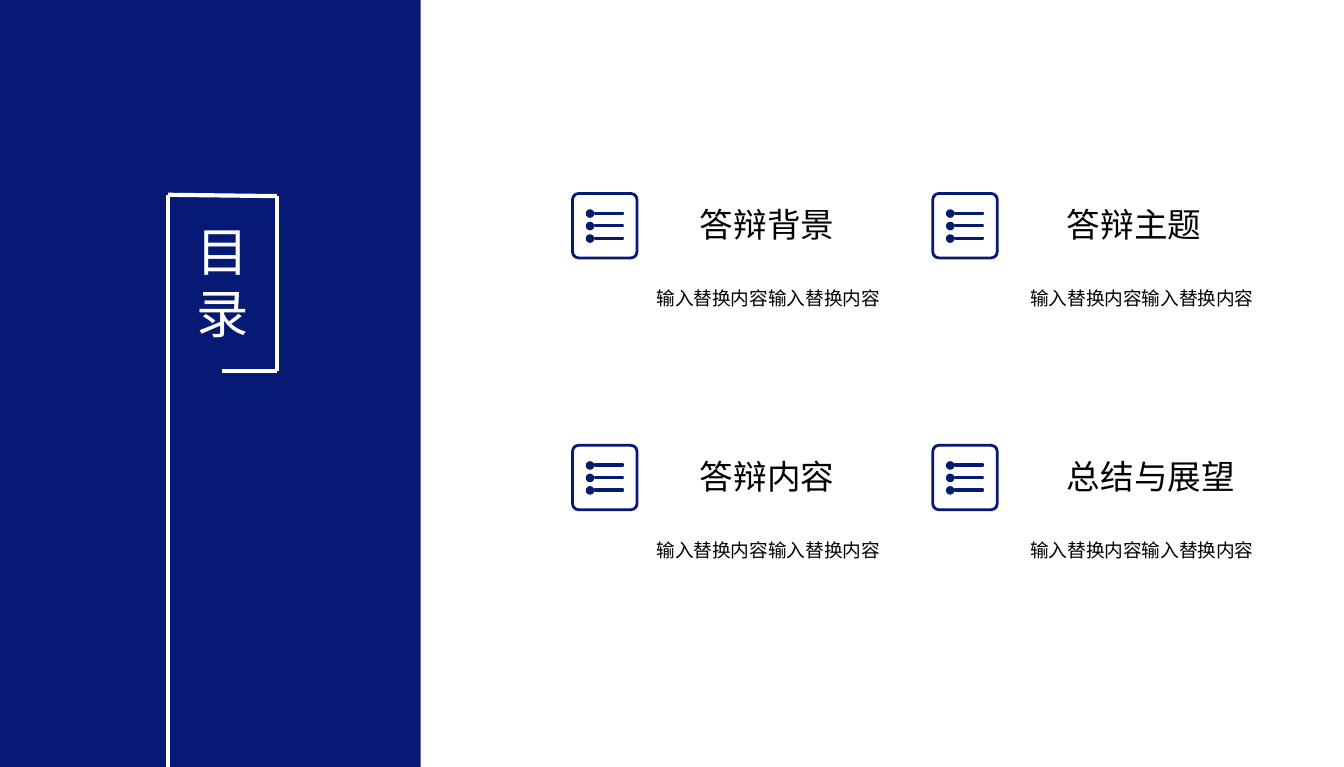
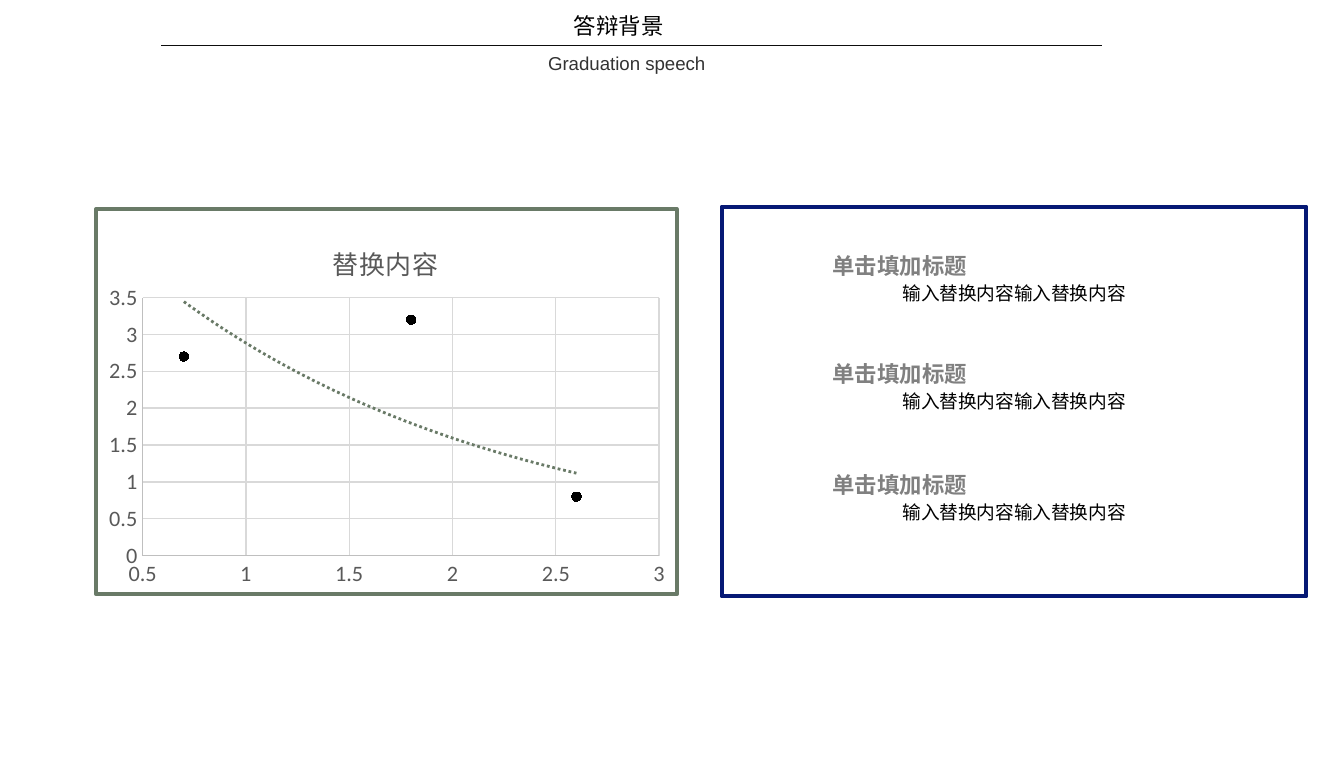
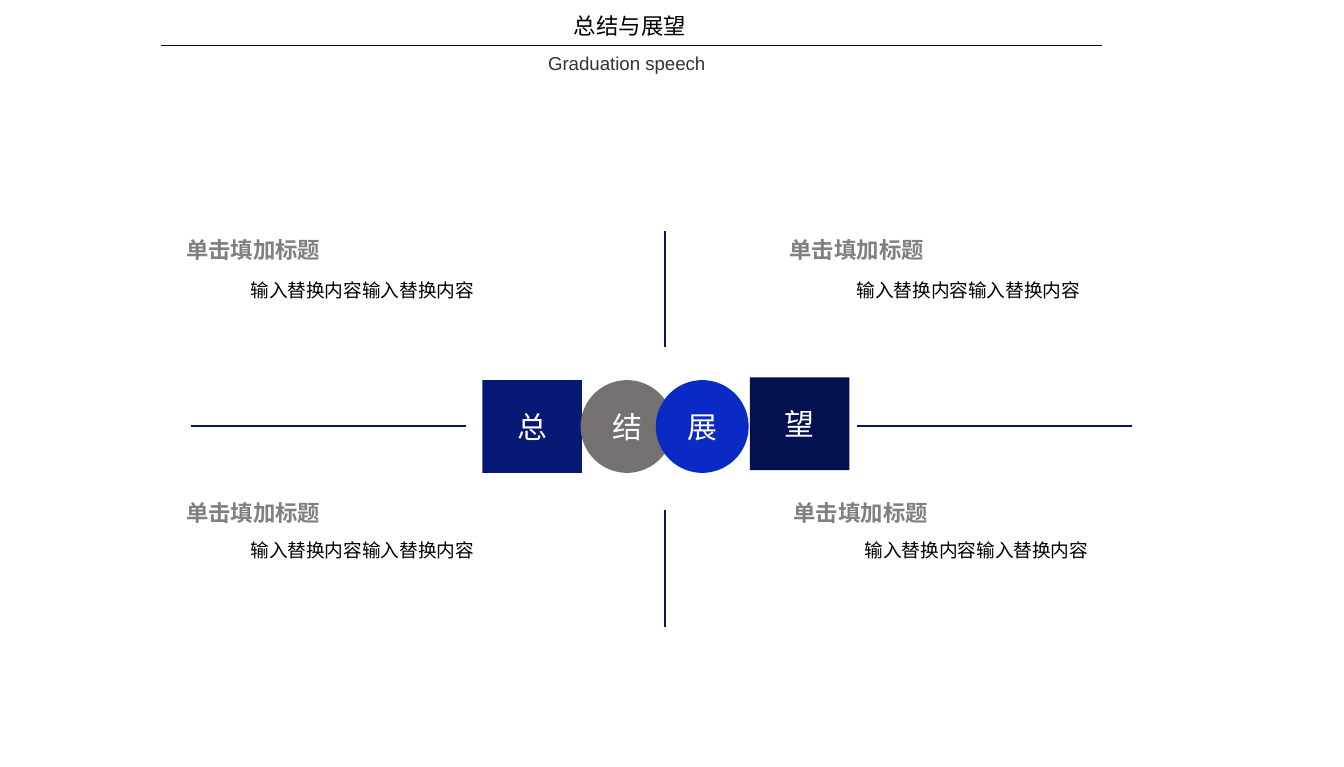
from dataclasses import dataclass

import lxml.etree
import pptx
import pptx.chart.data
import pptx.dml.color
import pptx.enum.chart
import pptx.enum.shapes
import pptx.enum.text
import pptx.oxml
import pptx.oxml.ns
import pptx.util

ALIGN = pptx.enum.text.PP_ALIGN
ANCHOR = pptx.enum.text.MSO_ANCHOR
SHAPE = pptx.enum.shapes.MSO_SHAPE
qn = pptx.oxml.ns.qn
NAMESPACES = pptx.oxml.ns.nsdecls("c", "a")


# Theme and grid
@dataclass(frozen=True)
class Theme:
    navy: str = "061975"
    deep_navy: str = "041150"
    rule_navy: str = "051564"
    icon_navy: str = "002060"
    bright_blue: str = "0A2AC5"
    warm_gray: str = "767171"
    heading_gray: str = "808080"
    axis_gray: str = "595959"
    axis_line: str = "BFBFBF"
    grid_line: str = "D9D9D9"
    green: str = "697A67"
    ink: str = "0D0D0D"
    soft_ink: str = "333333"
    black: str = "000000"
    white: str = "FFFFFF"
    chinese: str = "Noto Sans CJK SC"
    latin: str = "Arial"
    chart: str = "Calibri"
    display: int = 28
    item: int = 18
    glyph: int = 16
    chart_title: int = 14
    heading: int = 12
    body: int = 10


THEME = Theme()
COLUMNS, ROWS = 100, 57.1
CELL = pptx.util.Inches(10) / COLUMNS
NOTE = "输入替换内容输入替换内容"
HEADING = "单击填加标题"


@dataclass(frozen=True)
class Box:
    """An area of the slide, in grid cells."""
    left: float
    top: float
    width: float
    height: float

    def lengths(self) -> tuple[int, ...]:
        return tuple(cells(n) for n in (self.left, self.top, self.width, self.height))


@dataclass(frozen=True)
class TextStyle:
    size: int
    color: str = THEME.black
    font: str = THEME.chinese
    bold: bool = False
    align: ALIGN = ALIGN.LEFT
    anchor: ANCHOR = ANCHOR.TOP
    wrap: bool = True
    inset: bool = True
    line_spacing: float = 1.0


@dataclass(frozen=True)
class Topic:
    """A gray heading with a note below it."""
    left: float
    top: float
    note_left: float
    note_top: float


@dataclass(frozen=True)
class Badge:
    character: str
    kind: SHAPE
    box: Box
    color: str


DISPLAY = TextStyle(THEME.display, THEME.white)
ITEM = TextStyle(THEME.item, wrap=False)
PAGE_TITLE = TextStyle(THEME.heading, wrap=False)
SUBTITLE = TextStyle(THEME.body, THEME.soft_ink, THEME.latin)
BODY = TextStyle(THEME.body, align=ALIGN.CENTER)
TOPIC = TextStyle(THEME.heading, THEME.heading_gray, bold=True, align=ALIGN.CENTER,
                  inset=False, line_spacing=1.2)
GLYPH = TextStyle(THEME.glyph, THEME.white, align=ALIGN.CENTER, anchor=ANCHOR.MIDDLE)


def cells(count: float) -> int:
    return round(count * CELL)


def rgb(color: str) -> pptx.dml.color.RGBColor:
    return pptx.dml.color.RGBColor.from_string(color)


# Text
def format_run(run, style: TextStyle) -> None:
    run.font.size = pptx.util.Pt(style.size)
    run.font.bold = style.bold
    run.font.name = style.font
    run.font.color.rgb = rgb(style.color)
    east_asian = lxml.etree.SubElement(run._r.get_or_add_rPr(), qn("a:ea"))
    east_asian.set("typeface", style.font)


def write(shape, text: str, style: TextStyle) -> None:
    frame = shape.text_frame
    frame.text = text
    frame.word_wrap = style.wrap
    frame.auto_size = pptx.enum.text.MSO_AUTO_SIZE.NONE
    frame.vertical_anchor = style.anchor
    if not style.inset:
        frame.margin_left = frame.margin_right = frame.margin_top = frame.margin_bottom = 0
    paragraph = frame.paragraphs[0]
    paragraph.alignment = style.align
    paragraph.line_spacing = style.line_spacing
    format_run(paragraph.runs[0], style)


def add_text(slide, box: Box, text: str, style: TextStyle) -> None:
    write(slide.shapes.add_textbox(*box.lengths()), text, style)


def snug_box(left: float, top: float, text: str, size: int) -> Box:
    """A one-line box as wide as its full-width characters and side insets."""
    return Box(left, top, len(text) * size / 7.2 + 2.1, size / 8 + 1.6)


def add_title(slide, box: Box, text: str, style: TextStyle) -> None:
    title = slide.shapes.title
    title.left, title.top, title.width, title.height = box.lengths()
    write(title, text, style)
    title.element.getparent().append(title.element)  # in front of the band


def add_topic(slide, topic: Topic) -> None:
    add_text(slide, Box(topic.note_left, topic.note_top, 29.7, 2.7), NOTE, BODY)
    add_text(slide, Box(topic.left, topic.top, 13.7, 2.4), HEADING, TOPIC)


# Shapes and lines
def add_shape(shapes, kind: SHAPE, box: Box, fill: str | None = None,
              line: str | None = None, weight: float = 1):
    shape = shapes.add_shape(kind, *box.lengths())
    shape.shadow.inherit = False
    if fill:
        shape.fill.solid()
        shape.fill.fore_color.rgb = rgb(fill)
    else:
        shape.fill.background()
    if line:
        shape.line.color.rgb = rgb(line)
        shape.line.width = pptx.util.Pt(weight)
    else:
        shape.line.fill.background()
    return shape


def add_line(slide, start: tuple[float, float], end: tuple[float, float],
             color: str, weight: float) -> None:
    connector = slide.shapes.add_connector(
        pptx.enum.shapes.MSO_CONNECTOR.STRAIGHT, *map(cells, start + end))
    connector.line.color.rgb = rgb(color)
    connector.line.width = pptx.util.Pt(weight)
    lxml.etree.SubElement(connector.element.spPr, qn("a:effectLst"))


def add_list_icon(slide, left: float, top: float) -> None:
    shapes = slide.shapes.add_group_shape().shapes
    frame = add_shape(shapes, SHAPE.ROUNDED_RECTANGLE, Box(left, top, 4.8, 4.8),
                      line=THEME.navy, weight=1.5)
    frame.adjustments[0] = 0.095
    for row in range(3):
        y = top + 1.25 + row * 0.93
        add_shape(shapes, SHAPE.OVAL, Box(left + 1.05, y, 0.5, 0.5),
                  THEME.icon_navy, THEME.navy)
        add_shape(shapes, SHAPE.RECTANGLE, Box(left + 1.65, y + 0.17, 2.1, 0.1),
                  THEME.icon_navy, THEME.navy)


# Slides
def new_slide(presentation):
    return presentation.slides.add_slide(presentation.slide_layouts[5])


def content_slide(presentation, title: str):
    slide = new_slide(presentation)
    add_title(slide, snug_box(41.7, 0.4, title, THEME.heading), title, PAGE_TITLE)
    add_line(slide, (12, 3.4), (82, 3.4), THEME.ink, 0.5)
    add_text(slide, Box(39.8, 3.4, 16.7, 2.7), "Graduation speech", SUBTITLE)
    return slide


def contents_slide(presentation) -> None:
    slide = new_slide(presentation)
    add_shape(slide.shapes, SHAPE.RECTANGLE, Box(0, 0, 31.3, ROWS), THEME.navy)
    add_title(slide, Box(13.6, 15.8, 5.4, 10.4), "目录", DISPLAY)

    # Open frame around the title
    corners = [(12.5, ROWS), (12.5, 14.5), (20.6, 14.6), (20.6, 27.6), (16.5, 27.6)]
    for start, end in zip(corners, corners[1:]):
        add_line(slide, start, end, THEME.white, 2.25)

    # Two by two grid of chapters
    chapters = [["答辩背景", "答辩主题"], ["答辩内容", "总结与展望"]]
    columns = [(42.6, 51.1, 46.4), (69.4, 78.4, 74.2)]
    for row, names in enumerate(chapters):
        top = 14.4 + row * 18.75
        for name, (icon_left, name_left, note_left) in zip(names, columns):
            add_list_icon(slide, icon_left, top)
            add_text(slide, snug_box(name_left, top + 0.3, name, THEME.item), name, ITEM)
            add_text(slide, Box(note_left, top + 6.45, 21.5, 2.7), NOTE, BODY)


def background_slide(presentation) -> None:
    slide = content_slide(presentation, "答辩背景")
    add_scatter(slide, Box(7, 15.4, 43.5, 29))
    add_shape(slide.shapes, SHAPE.RECTANGLE, Box(53.7, 15.4, 43.5, 29),
              line=THEME.navy, weight=2.25)
    for top in (18.4, 26.4, 34.7):
        add_topic(slide, Topic(60.1, top, 60.6, top + 2.1))


def summary_slide(presentation) -> None:
    slide = content_slide(presentation, "总结与展望")
    badges = [
        Badge("望", SHAPE.RECTANGLE, Box(55.8, 28.1, 7.4, 6.9), THEME.deep_navy),
        Badge("总", SHAPE.RECTANGLE, Box(35.9, 28.3, 7.4, 6.9), THEME.navy),
        Badge("结", SHAPE.OVAL, Box(43.2, 28.3, 6.9, 6.9), THEME.warm_gray),
        Badge("展", SHAPE.OVAL, Box(48.8, 28.3, 6.9, 6.9), THEME.bright_blue),
    ]
    for badge in badges:
        shape = add_shape(slide.shapes, badge.kind, badge.box, badge.color)
        write(shape, badge.character, GLYPH)

    # Cross of dividing lines
    for y in (17.2, 38):
        add_line(slide, (49.5, y), (49.5, y + 8.65), THEME.rule_navy, 1)
    for x in (14.2, 63.75):
        add_line(slide, (x, 31.7), (x + 20.5, 31.7), THEME.rule_navy, 1)

    for topic in (Topic(12, 17.2, 12.1, 20.3), Topic(12, 36.8, 12.1, 39.6),
                  Topic(56.9, 17.2, 57.2, 20.3), Topic(57.2, 36.8, 57.8, 39.6)):
        add_topic(slide, topic)


# Chart
def line_xml(color: str, weight: float, dash: str = "solid") -> str:
    return (f'<a:ln w="{pptx.util.Pt(weight)}"><a:solidFill><a:srgbClr val="{color}"/>'
            f'</a:solidFill><a:prstDash val="{dash}"/></a:ln>')


def manual_layout(parent, index: int, inner: bool = False, **shares: float) -> None:
    """Place a chart part by shares of the chart's size."""
    for old in parent.findall(qn("c:layout")):
        parent.remove(old)
    target = '<c:layoutTarget val="inner"/>' if inner else ""
    modes = '<c:xMode val="edge"/><c:yMode val="edge"/>'
    values = "".join(f'<c:{key} val="{value}"/>' for key, value in shares.items())
    parent.insert(index, pptx.oxml.parse_xml(
        f"<c:layout {NAMESPACES}><c:manualLayout>{target}{modes}{values}"
        "</c:manualLayout></c:layout>"))


def format_axis(axis, low: float, high: float) -> None:
    axis.minimum_scale, axis.maximum_scale, axis.major_unit = low, high, 0.5
    axis.major_tick_mark = axis.minor_tick_mark = pptx.enum.chart.XL_TICK_MARK.NONE
    axis.has_major_gridlines = True
    for line, color in ((axis.format.line, THEME.axis_line),
                        (axis.major_gridlines.format.line, THEME.grid_line)):
        line.color.rgb = rgb(color)
        line.width = pptx.util.Pt(0.75)
    font = axis.tick_labels.font
    font.size, font.name = pptx.util.Pt(THEME.heading), THEME.chart
    font.color.rgb = rgb(THEME.axis_gray)


def add_scatter(slide, box: Box) -> None:
    data = pptx.chart.data.XyChartData()
    points = data.add_series("Series 1")
    for x, y in ((0.7, 2.7), (1.8, 3.2), (2.6, 0.8)):
        points.add_data_point(x, y)
    chart = slide.shapes.add_chart(
        pptx.enum.chart.XL_CHART_TYPE.XY_SCATTER, *box.lengths(), data).chart
    chart.has_legend = False
    chart.font.size, chart.font.name = pptx.util.Pt(THEME.body), THEME.chart
    chart.font.color.rgb = rgb(THEME.black)
    chart.plots[0].vary_by_categories = False
    format_axis(chart.category_axis, 0.5, 3)
    format_axis(chart.value_axis, 0, 3.5)

    # Title
    chart.has_title = True
    paragraph = chart.chart_title.text_frame.paragraphs[0]
    paragraph.text = "替换内容"
    format_run(paragraph.runs[0], TextStyle(THEME.chart_title, THEME.axis_gray))

    # Markers without a joining line
    series = chart.plots[0].series[0]
    series.smooth = False
    series.format.line.fill.background()
    series.marker.style = pptx.enum.chart.XL_MARKER_STYLE.CIRCLE
    series.marker.size = 5
    series.marker.format.fill.solid()
    series.marker.format.fill.fore_color.rgb = rgb(THEME.black)
    series.marker.format.line.color.rgb = rgb(THEME.black)

    # Trend line, border and placement
    root = chart.element
    next(root.iter(qn("c:xVal"))).addprevious(pptx.oxml.parse_xml(
        f"<c:trendline {NAMESPACES}><c:spPr>{line_xml(THEME.green, 1.5, 'sysDot')}</c:spPr>"
        '<c:trendlineType val="exp"/><c:dispRSqr val="0"/><c:dispEq val="0"/></c:trendline>'))
    root.find(qn("c:chart")).addnext(pptx.oxml.parse_xml(
        f"<c:spPr {NAMESPACES}><a:noFill/>{line_xml(THEME.green, 2.25)}</c:spPr>"))
    manual_layout(next(root.iter(qn("c:title"))), 1, x=0.4, y=0.07)
    manual_layout(next(root.iter(qn("c:plotArea"))), 0, inner=True,
                  x=0.08, y=0.23, w=0.89, h=0.67)


def main() -> None:
    presentation = pptx.Presentation()
    presentation.slide_width = cells(COLUMNS)
    presentation.slide_height = cells(ROWS)
    contents_slide(presentation)
    background_slide(presentation)
    summary_slide(presentation)
    presentation.save("out.pptx")


if __name__ == "__main__":
    main()
